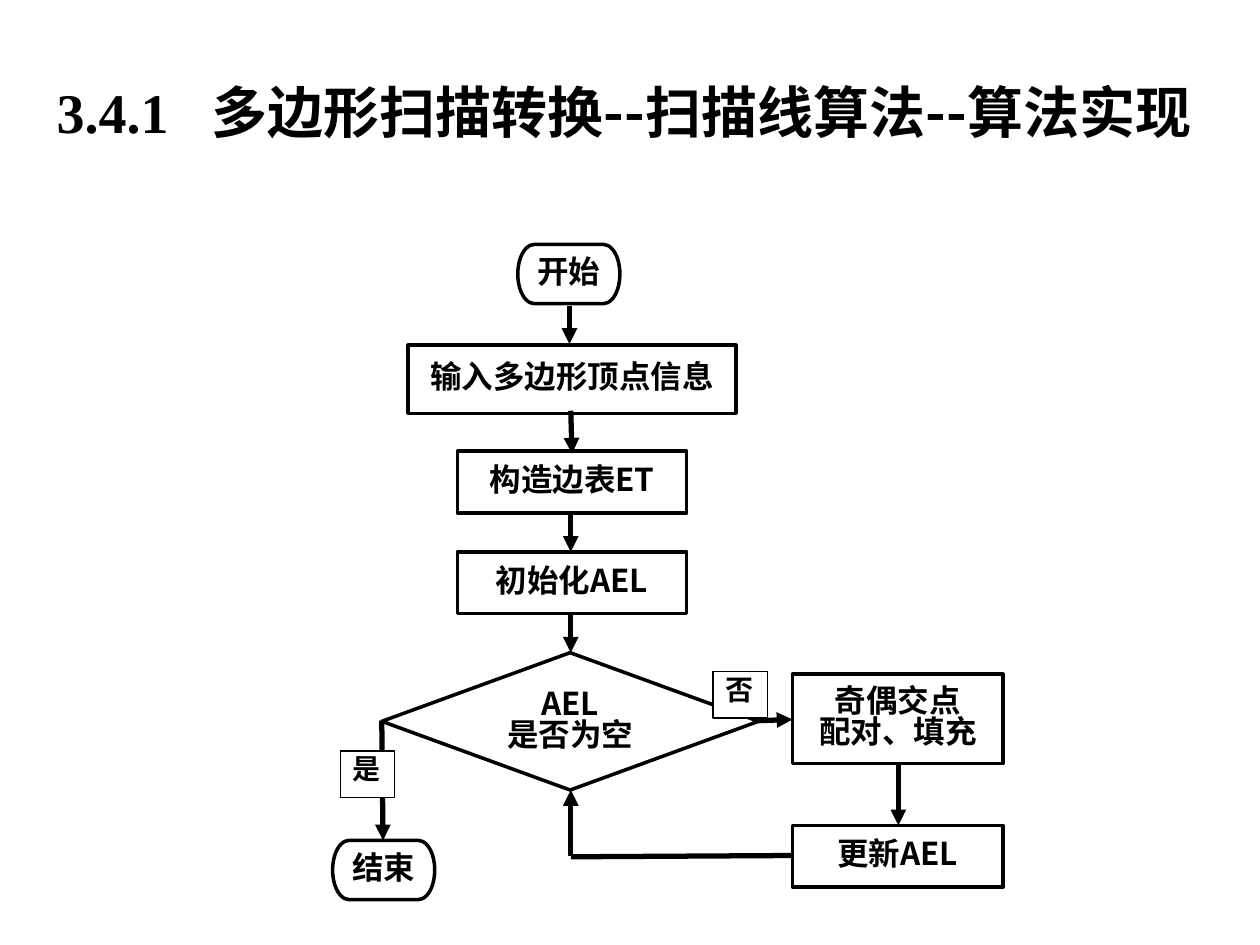
from dataclasses import dataclass

from lxml.etree import SubElement
from pptx import Presentation
from pptx.dml.color import RGBColor
from pptx.enum.shapes import MSO_CONNECTOR, MSO_SHAPE
from pptx.enum.text import MSO_ANCHOR, MSO_AUTO_SIZE, PP_ALIGN
from pptx.oxml.ns import qn
from pptx.util import Inches, Pt

BLACK = RGBColor(0, 0, 0)
WHITE = RGBColor(255, 255, 255)
CHINESE_FONT = "Noto Sans CJK SC"
TITLE_FONT = "Times New Roman"
LINE_SPACING = 0.83

PROCESS = MSO_SHAPE.FLOWCHART_PROCESS
TERMINATOR = MSO_SHAPE.FLOWCHART_TERMINATOR
DECISION = MSO_SHAPE.FLOWCHART_DECISION

STEP_FORMAT = {"vertical_anchor": MSO_ANCHOR.MIDDLE, "word_wrap": True,
               "margin_left": 0, "margin_right": 0, "margin_top": 0, "margin_bottom": 0}
LABEL_FORMAT = {"vertical_anchor": MSO_ANCHOR.TOP, "word_wrap": False,
                "auto_size": MSO_AUTO_SIZE.SHAPE_TO_FIT_TEXT}
TITLE_FORMAT = {"vertical_anchor": MSO_ANCHOR.MIDDLE, "word_wrap": True}


@dataclass
class Box:
    kind: MSO_SHAPE
    left: float
    top: float
    width: float
    height: float
    lines: tuple[str, ...]


@dataclass
class Arrow:
    start: tuple[float, float]
    end: tuple[float, float]
    has_head: bool = True


STEPS = [
    Box(PROCESS, 3.24, 2.74, 2.6, 0.54, ("输入多边形顶点信息",)),
    Box(TERMINATOR, 4.11, 1.94, 0.81, 0.47, ("开始",)),
    Box(DECISION, 3.03, 5.18, 2.99, 1.09, ("AEL", "是否为空")),
    Box(TERMINATOR, 2.64, 6.67, 0.81, 0.47, ("结束",)),
    Box(PROCESS, 3.63, 3.58, 1.82, 0.49, ("构造边表ET",)),
    Box(PROCESS, 3.63, 4.38, 1.82, 0.49, ("初始化AEL",)),
    Box(PROCESS, 6.29, 6.55, 1.67, 0.49, ("更新AEL",)),
    Box(PROCESS, 6.29, 5.35, 1.67, 0.71, ("奇偶交点", "配对、填充")),
]
ARROWS = [
    Arrow((4.52, 2.43), (4.52, 2.73)),
    Arrow((4.53, 3.26), (4.54, 3.6)),
    Arrow((4.53, 4.07), (4.53, 4.38)),
    Arrow((4.53, 4.86), (4.53, 5.18)),
    Arrow((7.13, 6.06), (7.13, 6.55)),
    Arrow((6.02, 5.72), (6.29, 5.71)),
    Arrow((3.03, 5.72), (3.04, 6.67)),
]
LABELS = [
    Box(MSO_SHAPE.RECTANGLE, 2.7, 5.96, 0.43, 0.37, ("是",)),
    Box(MSO_SHAPE.RECTANGLE, 5.66, 5.33, 0.43, 0.37, ("否",)),
]
LOOP_BACK = [
    Arrow((6.29, 6.79), (4.53, 6.8), has_head=False),
    Arrow((4.53, 6.79), (4.53, 6.27)),
]


def apply_format(target, values: dict) -> None:
    for name, value in values.items():
        setattr(target, name, value)


def add_run(paragraph, text: str, size: float, font_name: str) -> None:
    """Add bold black text, naming the font for Chinese characters too."""
    run = paragraph.add_run()
    run.text = text
    apply_format(run.font, {"size": Pt(size), "bold": True, "name": font_name})
    run.font.color.rgb = BLACK
    SubElement(run.font._element, qn("a:ea"), typeface=font_name)


def add_box(slide, box: Box, size: float, line_width: float,
            alignment: PP_ALIGN, frame_format: dict) -> None:
    shape = slide.shapes.add_shape(box.kind, Inches(box.left), Inches(box.top),
                                   Inches(box.width), Inches(box.height))
    shape.shadow.inherit = False
    shape.fill.solid()
    shape.fill.fore_color.rgb = WHITE
    shape.line.color.rgb = BLACK
    shape.line.width = Pt(line_width)
    frame = shape.text_frame
    apply_format(frame, frame_format)
    for index, text in enumerate(box.lines):
        paragraph = frame.add_paragraph() if index else frame.paragraphs[0]
        apply_format(paragraph, {"alignment": alignment, "line_spacing": LINE_SPACING})
        add_run(paragraph, text, size, CHINESE_FONT)


def add_arrow(slide, arrow: Arrow) -> None:
    connector = slide.shapes.add_connector(
        MSO_CONNECTOR.STRAIGHT, *map(Inches, arrow.start + arrow.end))
    connector.line.color.rgb = BLACK
    connector.line.width = Pt(3)
    properties = connector._element.spPr
    if arrow.has_head:
        SubElement(properties.find(qn("a:ln")), qn("a:tailEnd"), type="triangle")
    SubElement(properties, qn("a:effectLst"))


def add_title(slide) -> None:
    title = slide.shapes.add_textbox(Inches(0.35), Inches(0.3), Inches(9.38), Inches(1.25))
    frame = title.text_frame
    apply_format(frame, TITLE_FORMAT)
    paragraph = frame.paragraphs[0]
    paragraph.line_spacing = LINE_SPACING
    tab_list = SubElement(paragraph._p.get_or_add_pPr(), qn("a:tabLst"))
    SubElement(tab_list, qn("a:tab"), pos=str(Inches(1.23)), algn="l")
    add_run(paragraph, "3.4.1\t", 32, TITLE_FONT)
    add_run(paragraph, "多边形扫描转换--扫描线算法--算法实现", 32, CHINESE_FONT)


def main() -> None:
    presentation = Presentation()
    presentation.slide_width = Inches(10)
    presentation.slide_height = Inches(7.5)
    slide = presentation.slides.add_slide(presentation.slide_layouts[6])
    for step in STEPS:
        add_box(slide, step, 18, 2, PP_ALIGN.CENTER, STEP_FORMAT)
    for arrow in ARROWS:
        add_arrow(slide, arrow)
    for label in LABELS:
        add_box(slide, label, 16, 0.75, PP_ALIGN.LEFT, LABEL_FORMAT)
    for arrow in LOOP_BACK:
        add_arrow(slide, arrow)
    add_title(slide)
    presentation.save("out.pptx")


if __name__ == "__main__":
    main()
